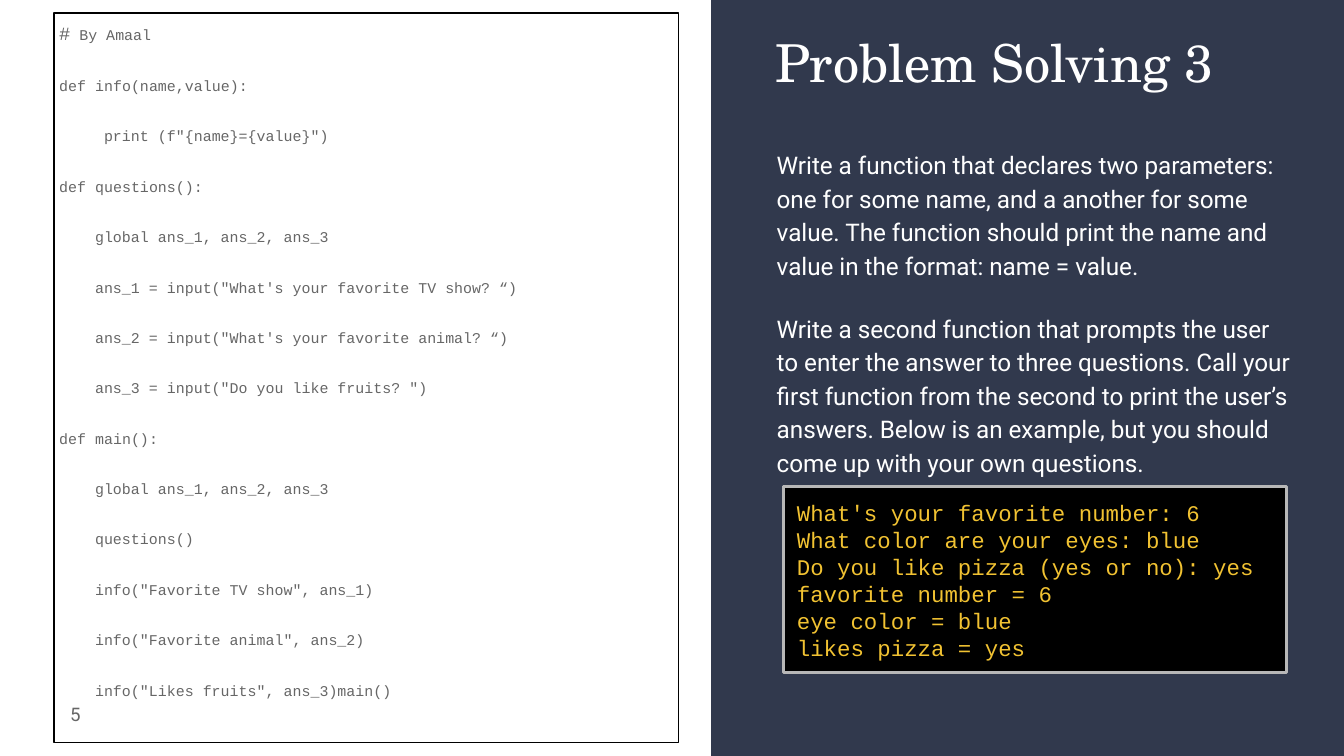
from dataclasses import dataclass

from pptx import Presentation
from pptx import util as u
from pptx.dml.color import RGBColor
from pptx.enum import shapes, text


@dataclass(frozen=True)
class Theme:
    navy: str = "31394D"
    white: str = "FFFFFF"
    black: str = "000000"
    grey: str = "666666"
    silver: str = "B7B7B7"
    gold: str = "F1C232"
    serif: str = "TeX Gyre Schola"
    sans: str = "Roboto"
    mono: str = "Courier New"
    title: int = 28
    body: int = 13
    console: int = 12
    small: int = 10
    code: int = 8
    spacing: float = 1.15
    gap: int = 16


class Deck:
    def __init__(self, theme):
        self.t = theme
        self.prs = Presentation()
        self.prs.slide_width = u.Cm(25.4)
        self.prs.slide_height = u.Cm(14.29)
        self.s = self.prs.slides.add_slide(self.prs.slide_layouts[6])

    def paint(self, sp, fill=None, line=None, width=0.75):
        sp.shadow.inherit = False
        if fill:
            sp.fill.solid()
            sp.fill.fore_color.rgb = RGBColor.from_string(fill)
        else:
            sp.fill.background()
        if line:
            sp.line.color.rgb = RGBColor.from_string(line)
            sp.line.width = u.Pt(width)
        else:
            sp.line.fill.background()
        return sp

    def rect(self, box, **style):
        sp = self.s.shapes.add_shape(
            shapes.MSO_SHAPE.RECTANGLE, *(u.Cm(v) for v in box))
        return self.paint(sp, **style)

    def outline(self, points, fill):
        start, *rest = [(u.Cm(x), u.Cm(y)) for x, y in points]
        fb = self.s.shapes.build_freeform(*start)
        fb.add_line_segments(rest, close=True)
        return self.paint(fb.convert_to_shape(), fill=fill)

    def textbox(self, box):
        return self.s.shapes.add_textbox(*(u.Cm(v) for v in box))

    def set_text(self, sp, lines, font, size, color, inset=0.25, spacing=None,
                 after=0, align=text.PP_ALIGN.LEFT,
                 anchor=text.MSO_ANCHOR.TOP):
        tf = sp.text_frame
        tf.word_wrap = True
        tf.vertical_anchor = anchor
        tf.margin_left = tf.margin_right = u.Cm(inset)
        tf.margin_top = tf.margin_bottom = u.Cm(inset)
        for i, line in enumerate(lines):
            p = tf.add_paragraph() if i else tf.paragraphs[0]
            p.text = line
            p.alignment = align
            p.line_spacing = spacing
            p.space_after = u.Pt(after)
            p.font.name = font
            p.font.size = u.Pt(size)
            p.font.color.rgb = RGBColor.from_string(color)
        return tf

    def code(self, sp, lines):
        t = self.t
        tf = self.set_text(sp, [line for _, line in lines], t.mono, t.code,
                           t.grey, inset=0.1, spacing=t.spacing, after=t.gap)
        for p, (columns, _) in zip(tf.paragraphs, lines):
            pPr = p._p.get_or_add_pPr()
            pPr.set("marL", str(u.Pt(columns * t.code * 0.6)))
            pPr.set("indent", "0")
        return tf

    def background(self, color):
        fill = self.s.background.fill
        fill.solid()
        fill.fore_color.rgb = RGBColor.from_string(color)


CODE = [
    (0, "#"),
    (0, "def info(name,value):"),
    (5, 'print (f"{name}={value}")'),
    (0, "def questions():"),
    (4, "global ans_1, ans_2, ans_3"),
    (4, 'ans_1 = input("What\'s your favorite TV show? “)'),
    (4, 'ans_2 = input("What\'s your favorite animal? “)'),
    (4, 'ans_3 = input("Do you like fruits? ")'),
    (0, "def main():"),
    (4, "global ans_1, ans_2, ans_3"),
    (4, "questions()"),
    (4, 'info("Favorite TV show", ans_1)'),
    (4, 'info("Favorite animal", ans_2)'),
    (4, 'info("Likes fruits", ans_3)main()'),
]

TASK = [
    "Write a function that declares two parameters: one for some name, and a "
    "another for some value. The function should print the name and value in "
    "the format: name = value.",
    "Write a second function that prompts the user to enter the answer to "
    "three questions. Call your first function from the second to print the "
    "user’s answers. Below is an example, but you should come up with your "
    "own questions.",
]

CONSOLE = [
    "What's your favorite number: 6",
    "What color are your eyes: blue",
    "Do you like pizza (yes or no): yes",
    "favorite number = 6",
    "eye color = blue",
    "likes pizza = yes",
]


def main():
    t = Theme()
    d = Deck(t)
    d.background(t.white)
    left, right = 13.44, 25.42
    d.rect((left, 0, right - left, 14.29), fill=t.navy)
    d.outline([(left, 0), (right, 0), (right, 9.75), (left, 13.56)], t.navy)

    d.set_text(d.textbox((0.25, 12.95, 1.52, 1.09)), ["5"], t.sans, t.small,
               t.grey, align=text.PP_ALIGN.RIGHT,
               anchor=text.MSO_ANCHOR.MIDDLE)
    d.set_text(d.textbox((14.4, 0.33, 10.29, 1.78)), ["Problem Solving 3"],
               t.serif, t.title, t.white)

    listing = d.code(d.rect((1.02, 0.25, 11.81, 13.79), line=t.black), CODE)
    comment = listing.paragraphs[0]
    comment.runs[0].font.size = u.Pt(t.small)
    comment.add_run().text = " By Amaal"

    task = d.set_text(d.textbox((14.43, 2.51, 10.29, 6.68)), TASK, t.sans,
                      t.body, t.white, spacing=t.spacing)
    task.paragraphs[1].space_before = u.Pt(t.gap)

    console = d.rect((14.81, 9.19, 9.5, 3.53), fill=t.black, line=t.silver,
                     width=1.5)
    d.set_text(console, CONSOLE, t.mono, t.console, t.gold)
    d.prs.save("out.pptx")


if __name__ == "__main__":
    main()
